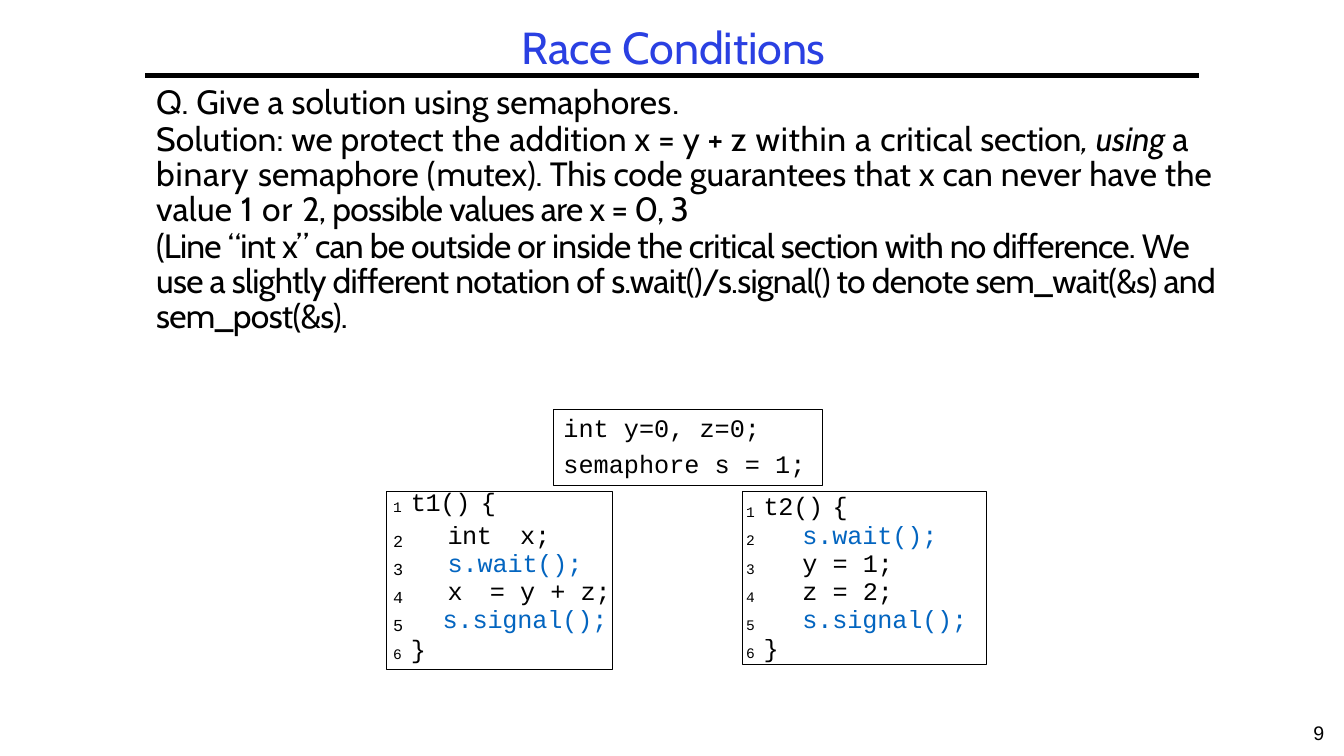
import dataclasses

import pptx
import pptx.dml.color
import pptx.enum.shapes
import pptx.enum.text
import pptx.oxml
import pptx.oxml.ns
import pptx.util

Pt = pptx.util.Pt
ANCHOR = pptx.enum.text.MSO_ANCHOR
ALIGN = pptx.enum.text.PP_ALIGN


@dataclasses.dataclass(frozen=True)
class Theme:
    """Colours, fonts and type sizes of the slide."""
    ink: str = "000000"
    heading: str = "2A40E2"
    call: str = "0365C0"
    prose: str = "Cabin"
    code: str = "Courier New"
    plain: str = "Arial"
    title_size: int = 32
    body_size: int = 24
    code_size: int = 18
    page_size: int = 14
    number_size: int = 12


THEME = Theme()

QUESTION = [("Q. Give a solution using semaphores", 0.1), (".", -0.1)]
SOLUTION = [
    ("Solution: we protect ", 0.1), ("the ", 0.5), ("addition x = y + z", 0.1),
    (" within a ", 0.5), ("critical ", 0.1), ("section", -0.1),
    (", using ", -0.1, True), ("a ", 0.1), ("binary ", 0.6), ("semaphore ", 0.1),
    ("(", 0.6), ("mutex). This code ", -0.1),
    ("guarantees that x can never have the value", 0.1), (" 1 or ", 0.7),
    ("2, possible values are x = 0, 3", -0.5),
]
REMARK = [(
    "(Line “int x” can be outside or inside the critical section with no "
    "difference. We use a slightly different notation of s.wait()/s.signal() "
    "to denote sem_wait(&s) and sem_post(&s).", -0.5)]

SHARED_CODE = ["int y=0, z=0;", "semaphore s = 1;"]
FIRST_THREAD = [["int", "x;"], ["s.wait();"],
                ["x", "=", "y", "+", "z;"], ["s.signal();"]]
SECOND_THREAD = [["s.wait();"], ["y", "=", "1;"],
                 ["z", "=", "2;"], ["s.signal();"]]


def px(count):
    """Turn px, a hundredth of an inch each, into EMU."""
    return pptx.util.Emu(count * 9144)


def box(left, top, width, height):
    """Return a rectangle in EMU."""
    return px(left), px(top), px(width), px(height)


def add_run(paragraph, text, size, font, color, spacing=0, baseline=0, italic=False):
    """Append one formatted run."""
    run = paragraph.add_run()
    run.text = text
    run.font.size = Pt(size)
    run.font.name = font
    run.font.italic = italic
    run.font.color.rgb = pptx.dml.color.RGBColor.from_string(color)
    properties = run.font._element
    properties.set("spc", str(round(spacing * 100)))
    if baseline:
        properties.set("baseline", str(baseline * 1000))


def add_code(paragraph, text, spacing=0, color=THEME.ink):
    """Append code in the code font."""
    add_run(paragraph, text, THEME.code_size, THEME.code, color, spacing)


def add_lowered_number(paragraph, text, spacing=0):
    """Append a lowered line number."""
    add_run(paragraph, text, THEME.code_size, THEME.code, THEME.ink, spacing, -7)


def add_statement(paragraph, tokens):
    """Append a statement whose tokens are parted by tabs."""
    if tokens[0].startswith("s."):
        add_code(paragraph, tokens[0], -0.1, THEME.call)
        return
    add_code(paragraph, "\t".join(tokens[:-1]) + "\t", -0.4)
    add_code(paragraph, tokens[-1], -0.2)


def set_margins(frame, left=0, top=0, right=0, bottom=0):
    """Set the inner margins of a text frame or a cell."""
    frame.margin_left, frame.margin_top = px(left), px(top)
    frame.margin_right, frame.margin_bottom = px(right), px(bottom)


def set_paragraph(paragraph, indent=0, line=None, before=0, tabs=()):
    """Set left margin, spacing and tab stops of a paragraph."""
    paragraph.line_spacing = line
    paragraph.space_before = Pt(before)
    properties = paragraph._p.get_or_add_pPr()
    properties.set("marL", str(px(indent)))
    if tabs:
        stops = pptx.oxml.parse_xml(
            f"<a:tabLst {pptx.oxml.ns.nsdecls('a')}>"
            + "".join(f'<a:tab pos="{px(stop)}" algn="l"/>' for stop in tabs)
            + "</a:tabLst>")
        properties.append(stops)


def paragraphs(frame, count):
    """Return the given number of paragraphs of a fresh frame."""
    return [frame.paragraphs[0]] + [frame.add_paragraph() for _ in range(count - 1)]


def add_title(slide):
    """Place the heading and the rule below it."""
    title = slide.shapes.title
    title.left, title.top, title.width, title.height = box(144, 18, 1047, 55)
    frame = title.text_frame
    frame.auto_size = pptx.enum.text.MSO_AUTO_SIZE.NONE
    frame.vertical_anchor = ANCHOR.MIDDLE
    set_margins(frame, top=1)
    heading = frame.paragraphs[0]
    set_paragraph(heading, 1, before=1)
    heading.alignment = ALIGN.CENTER
    for word, spacing in (("Race ", 0), ("Conditions", -0.1)):
        add_run(heading, word, THEME.title_size, THEME.prose, THEME.heading, spacing)

    rule = slide.shapes.add_connector(
        pptx.enum.shapes.MSO_CONNECTOR.STRAIGHT, px(144), px(75), px(1189), px(75))
    rule.line.width = Pt(3)
    rule.line.color.rgb = pptx.dml.color.RGBColor.from_string(THEME.ink)
    rule._element.spPr.append(
        pptx.oxml.parse_xml(f"<a:effectLst {pptx.oxml.ns.nsdecls('a')}/>"))


def add_explanation(slide):
    """Place the question, its solution and the remark."""
    frame = slide.shapes.add_textbox(*box(154, 83, 1063, 250)).text_frame
    frame.word_wrap = True
    set_margins(frame, top=2)
    passages = [QUESTION, SOLUTION, REMARK]
    for paragraph, passage in zip(paragraphs(frame, len(passages)), passages):
        set_paragraph(paragraph, 1, Pt(25.1), 1.4)
        for text, spacing, *italic in passage:
            add_run(paragraph, text, THEME.body_size, THEME.prose, THEME.ink,
                    spacing, italic=bool(italic))


def add_frame(slide, *place):
    """Draw an unfilled code frame."""
    frame = slide.shapes.add_shape(pptx.enum.shapes.MSO_SHAPE.RECTANGLE, *box(*place))
    frame.shadow.inherit = False
    frame.fill.background()
    frame.line.width = Pt(0.75)
    frame.line.color.rgb = pptx.dml.color.RGBColor.from_string(THEME.ink)
    return frame


def add_shared_code(slide):
    """Place the framed declarations that both threads share."""
    frame = add_frame(slide, 549, 406, 267, 76).text_frame
    frame.vertical_anchor = ANCHOR.MIDDLE
    set_margins(frame, 10, 5, 10, 5)
    for paragraph, line in zip(paragraphs(frame, len(SHARED_CODE)), SHARED_CODE):
        set_paragraph(paragraph, line=0.9, before=6.5)
        paragraph.alignment = ALIGN.LEFT
        add_code(paragraph, line)


def add_brace_line(cell, number, name, indent, line, before=0):
    """Fill a cell with the opening or closing line of a thread."""
    paragraph = cell.text_frame.paragraphs[0]
    set_paragraph(paragraph, indent, line, before, [indent + 80] if name else [])
    add_lowered_number(paragraph, f"{number} ")
    if name:
        add_code(paragraph, f"{name}()\t", -0.2)
    add_code(paragraph, "{" if name else "}", -0.5)


def add_threads(slide):
    """Place the table with the numbered code of both threads."""
    table = slide.shapes.add_table(6, 3, *box(383, 488, 599, 173)).table
    table.first_row = table.horz_banding = False
    for column, width in zip(table.columns, (49, 302, 248)):
        column.width = px(width)
    for index, row in enumerate(table.rows):
        row.height = px(28 if index else 33)
    for cell in table.iter_cells():
        cell.fill.background()
        set_margins(cell)
    table.cell(0, 0).merge(table.cell(0, 1))
    table.cell(0, 2).margin_top = px(3)
    add_brace_line(table.cell(0, 0), 1, "t1", 7, Pt(19.1))
    add_brace_line(table.cell(0, 2), 1, "t2", 6, None, 2.1)

    for row, (first, second) in enumerate(zip(FIRST_THREAD, SECOND_THREAD), 1):
        number_cell, first_cell, second_cell = (table.cell(row, i) for i in range(3))
        number_cell.margin_top = px(8)
        number = number_cell.text_frame.paragraphs[0]
        set_paragraph(number, 7, Pt(13.5), 5.5)
        add_run(number, str(row + 1), THEME.number_size, THEME.code, THEME.ink, -0.5)

        statement = first_cell.text_frame.paragraphs[0]
        start = 72 if first[0] == "int" else 42
        set_paragraph(statement, 7 if first[0] == "s.signal();" else 12, Pt(19),
                      tabs=[start + 30 * i for i in range(len(first) - 1)])
        add_statement(statement, first)

        statement = second_cell.text_frame.paragraphs[0]
        set_paragraph(statement, 6, Pt(19),
                      tabs=[56 + 30 * i for i in range(len(second))])
        add_lowered_number(statement, f"{row + 1}\t", -0.8)
        add_statement(statement, second)

    add_brace_line(table.cell(5, 0), 6, "", 7, Pt(19.7))
    add_brace_line(table.cell(5, 2), 6, "", 6, Pt(19))


def add_page_number(slide):
    """Place the page number in the lower right corner."""
    frame = slide.shapes.add_textbox(*box(1283, 710, 50, 40)).text_frame
    frame.word_wrap = True
    frame.paragraphs[0].alignment = ALIGN.CENTER
    add_run(frame.paragraphs[0], "9", THEME.page_size, THEME.plain, THEME.ink)


def main():
    """Build and save the slide."""
    presentation = pptx.Presentation()
    presentation.slide_width, presentation.slide_height = px(1333), px(750)
    slide = presentation.slides.add_slide(presentation.slide_layouts[5])
    add_title(slide)
    add_explanation(slide)
    add_threads(slide)
    add_page_number(slide)
    add_frame(slide, 383, 488, 225, 176)
    add_frame(slide, 736, 488, 242, 171)
    add_shared_code(slide)
    presentation.save("out.pptx")


if __name__ == "__main__":
    main()
